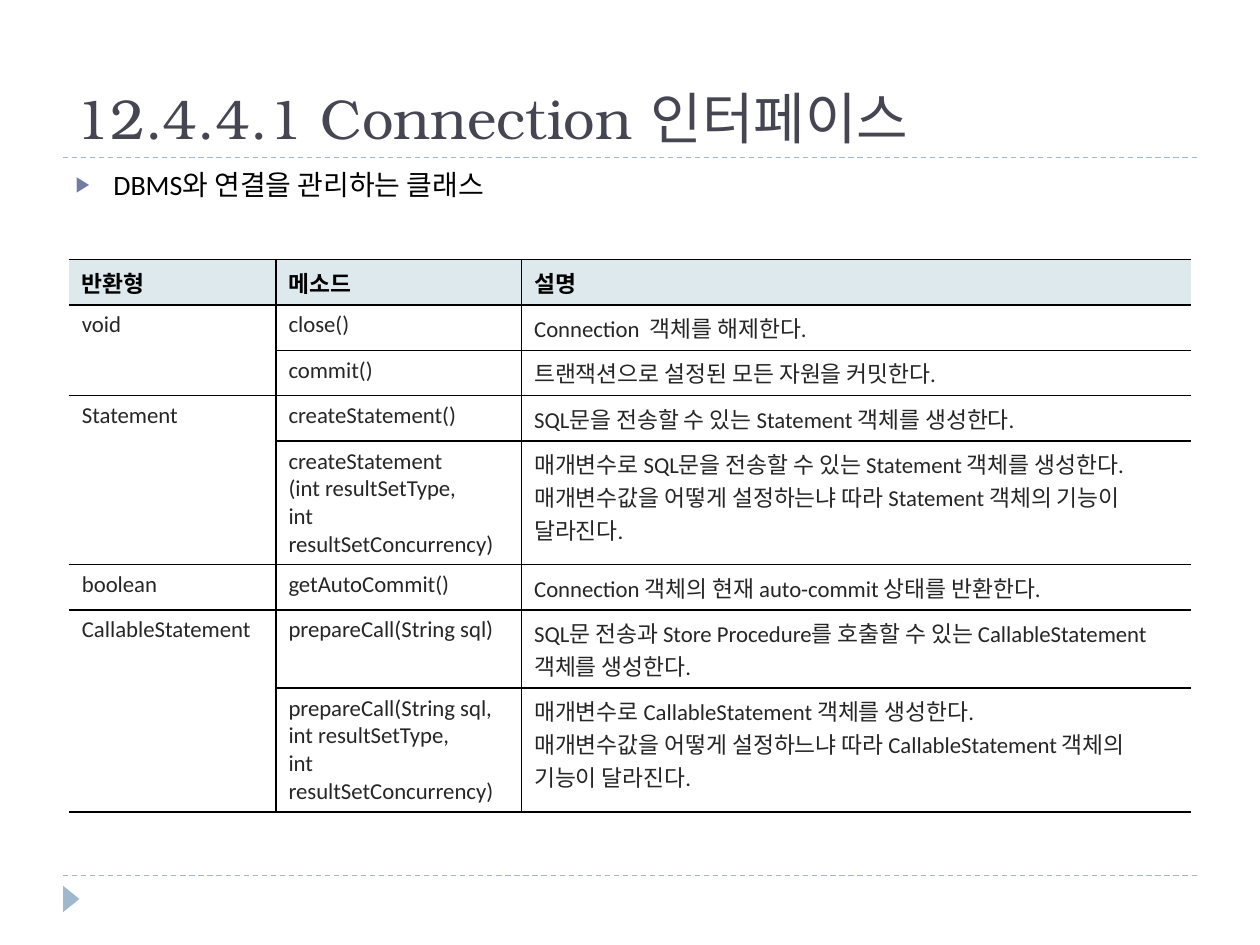
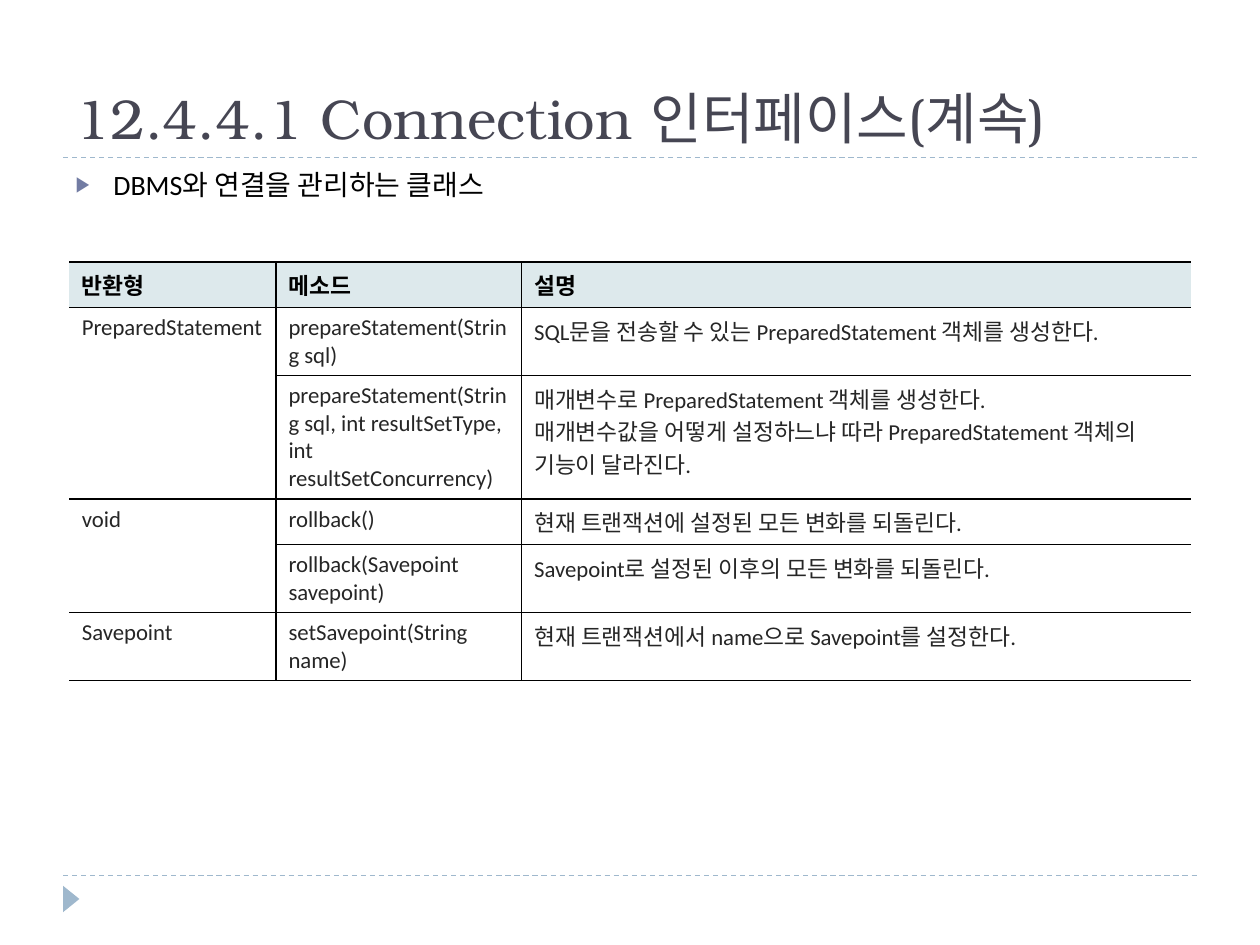
import dataclasses

import pptx
import pptx.dml.color
import pptx.enum.dml
import pptx.enum.shapes
import pptx.enum.text
import pptx.oxml
import pptx.oxml.ns
import pptx.util
from lxml import etree

Inches = pptx.util.Inches
Pt = pptx.util.Pt
qn = pptx.oxml.ns.qn


@dataclasses.dataclass(frozen=True)
class Theme:
    title_font: str = "TeX Gyre Bonum"
    text_font: str = "Calibri"
    title_size: int = 32
    lead_size: int = 16
    table_size: int = 13
    title_color: str = "464653"
    lead_color: str = "000000"
    cell_color: str = "262626"
    accent: str = "9FB8CD"
    bullet_color: str = "727CA3"
    header_fill: str = "DDE9EC"
    cell_fill: str = "FFFFFF"
    grid_color: str = "000000"


def rgb(color):
    return pptx.dml.color.RGBColor.from_string(color)


class Deck:
    """Holds the style and the slide being built."""

    column_widths = (1.64, 1.95, 5.31)
    header_height, row_height = 0.31, 0.35

    def __init__(self, theme):
        self.theme = theme
        self.presentation = pptx.Presentation()
        self.presentation.slide_width = Inches(10)
        self.presentation.slide_height = Inches(7.5)
        self.slide = None

    def new_slide(self):
        layout = self.presentation.slide_layouts[1]
        self.slide = self.presentation.slides.add_slide(layout)
        for y in (6.95, 1.25):
            self.rule(y)
        self.corner_marker()

    def rule(self, y):
        rule = self.slide.shapes.add_connector(
            pptx.enum.shapes.MSO_CONNECTOR.STRAIGHT,
            Inches(0.5), Inches(y), Inches(9.5), Inches(y))
        rule.line.color.rgb = rgb(self.theme.accent)
        rule.line.width = Pt(0.75)
        rule.line.dash_style = pptx.enum.dml.MSO_LINE.DASH
        etree.SubElement(rule._element.spPr, qn("a:effectLst"))

    def corner_marker(self):
        marker = self.slide.shapes.add_shape(
            pptx.enum.shapes.MSO_SHAPE.ISOSCELES_TRIANGLE,
            Inches(0.46), Inches(7.07), Inches(0.21), Inches(0.13))
        marker.rotation = 90
        marker.shadow.inherit = False
        marker.fill.solid()
        marker.fill.fore_color.rgb = rgb(self.theme.accent)
        marker.line.fill.background()

    def add_run(self, paragraph, text, font, size, color, bold=False):
        run = paragraph.add_run()
        run.text = text
        run.font.name = font
        run.font.size = Pt(size)
        run.font.bold = bold
        run.font.color.rgb = rgb(color)

    def place(self, holder, top, height, anchor):
        holder.left, holder.top = Inches(0.5), Inches(top)
        holder.width, holder.height = Inches(9), Inches(height)
        frame = holder.text_frame
        frame.word_wrap = True
        frame.auto_size = pptx.enum.text.MSO_AUTO_SIZE.NONE
        frame.vertical_anchor = anchor
        paragraph = frame.paragraphs[0]
        paragraph.alignment = pptx.enum.text.PP_ALIGN.LEFT
        return paragraph

    def title(self, text):
        paragraph = self.place(self.slide.shapes.title, 0.17, 1.08,
                               pptx.enum.text.MSO_ANCHOR.BOTTOM)
        self.add_run(paragraph, text, self.theme.title_font,
                     self.theme.title_size, self.theme.title_color)

    def lead(self, text):
        paragraph = self.place(self.slide.placeholders[1], 1.33, 5.4,
                               pptx.enum.text.MSO_ANCHOR.TOP)
        paragraph.line_spacing = 0.8
        paragraph.space_before = Pt(6)
        self.bullet(paragraph)
        self.add_run(paragraph, text, self.theme.text_font,
                     self.theme.lead_size, self.theme.lead_color)

    def bullet(self, paragraph):
        properties = paragraph._p.get_or_add_pPr()
        properties.set("marL", str(Inches(0.3)))
        properties.set("indent", str(Inches(-0.3)))
        color = etree.SubElement(properties, qn("a:buClr"))
        etree.SubElement(color, qn("a:srgbClr"), val=self.theme.bullet_color)
        etree.SubElement(properties, qn("a:buSzPct"), val="76000")
        etree.SubElement(properties, qn("a:buFont"), typeface="Arial")
        etree.SubElement(properties, qn("a:buChar"), char="▶")

    def borders(self, cell, open_sides):
        properties = cell._tc.get_or_add_tcPr()
        for position, side in enumerate("LRTB"):
            line = etree.Element(qn(f"a:ln{side}"), w=str(Pt(1)))
            if side in open_sides:
                etree.SubElement(line, qn("a:noFill"))
            else:
                fill = etree.SubElement(line, qn("a:solidFill"))
                etree.SubElement(fill, qn("a:srgbClr"),
                                 val=self.theme.grid_color)
            properties.insert(position, line)

    def fill_cell(self, cell, text, header):
        theme = self.theme
        cell.fill.solid()
        cell.fill.fore_color.rgb = rgb(
            theme.header_fill if header else theme.cell_fill)
        frame = cell.text_frame
        for number, line in enumerate(text.split("\n") if text else []):
            paragraph = frame.add_paragraph() if number else frame.paragraphs[0]
            self.add_run(paragraph, line, theme.text_font, theme.table_size,
                         theme.lead_color if header else theme.cell_color,
                         bold=header)

    def method_table(self, top, groups):
        # A return type is written once, on the first row of its group
        rows = [("반환형", "메소드", "설명")]
        merges = []
        for return_type, methods in groups:
            merges.append((len(rows), len(rows) + len(methods) - 1))
            for number, (method, description) in enumerate(methods):
                rows.append(("" if number else return_type,
                             method, description))

        total = self.header_height + self.row_height * (len(rows) - 1)
        table = self.slide.shapes.add_table(
            len(rows), len(self.column_widths), Inches(0.55), Inches(top),
            Inches(sum(self.column_widths)), Inches(total)).table
        table.horz_banding = False
        for column, width in zip(table.columns, self.column_widths):
            column.width = Inches(width)

        open_sides = ("L", "", "R")
        for r, texts in enumerate(rows):
            table.rows[r].height = Inches(
                self.row_height if r else self.header_height)
            for c, text in enumerate(texts):
                cell = table.cell(r, c)
                self.fill_cell(cell, text, header=r == 0)
                self.borders(cell, open_sides[c])
        for first, last in merges:
            if last > first:
                table.cell(first, 0).merge(table.cell(last, 0))


LEAD = "DBMS와 연결을 관리하는 클래스"

CONNECTION_METHODS = [
    ("void", [
        ("close()", "Connection  객체를 해제한다."),
        ("commit()", "트랜잭션으로 설정된 모든 자원을 커밋한다."),
    ]),
    ("Statement", [
        ("createStatement()",
         "SQL문을 전송할 수 있는 Statement 객체를 생성한다."),
        ("createStatement\n(int resultSetType,\nint resultSetConcurrency)",
         "매개변수로 SQL문을 전송할 수 있는 Statement 객체를 생성한다. "
         "매개변수값을 어떻게 설정하는냐 따라 Statement 객체의 기능이 달라진다."),
    ]),
    ("boolean", [
        ("getAutoCommit()",
         "Connection 객체의 현재 auto-commit 상태를 반환한다."),
    ]),
    ("CallableStatement", [
        ("prepareCall(String sql)",
         "SQL문 전송과 Store Procedure를 호출할 수 있는 "
         "CallableStatement 객체를 생성한다."),
        ("prepareCall(String sql,\nint resultSetType,\n"
         "int resultSetConcurrency)",
         "매개변수로 CallableStatement 객체를 생성한다.\n"
         "매개변수값을 어떻게 설정하느냐 따라 CallableStatement 객체의 "
         "기능이 달라진다."),
    ]),
]

MORE_METHODS = [
    ("PreparedStatement", [
        ("prepareStatement(String sql)",
         "SQL문을 전송할 수 있는 PreparedStatement 객체를 생성한다."),
        ("prepareStatement(String sql, int resultSetType, "
         "int resultSetConcurrency)",
         "매개변수로 PreparedStatement 객체를 생성한다.\n"
         "매개변수값을 어떻게 설정하느냐 따라 PreparedStatement 객체의 "
         "기능이 달라진다."),
    ]),
    ("void", [
        ("rollback()", "현재 트랜잭션에 설정된 모든 변화를 되돌린다."),
        ("rollback(Savepoint savepoint)",
         "Savepoint로 설정된 이후의 모든 변화를 되돌린다."),
    ]),
    ("Savepoint", [
        ("setSavepoint(String name)",
         "현재 트랜잭션에서 name으로 Savepoint를 설정한다."),
    ]),
]


def main():
    deck = Deck(Theme())
    for title, table_top, groups in (
            ("12.4.4.1 Connection 인터페이스", 2.06, CONNECTION_METHODS),
            ("12.4.4.1 Connection 인터페이스(계속)", 2.08, MORE_METHODS)):
        deck.new_slide()
        deck.title(title)
        deck.lead(LEAD)
        deck.method_table(table_top, groups)
    deck.presentation.save("out.pptx")


if __name__ == "__main__":
    main()
